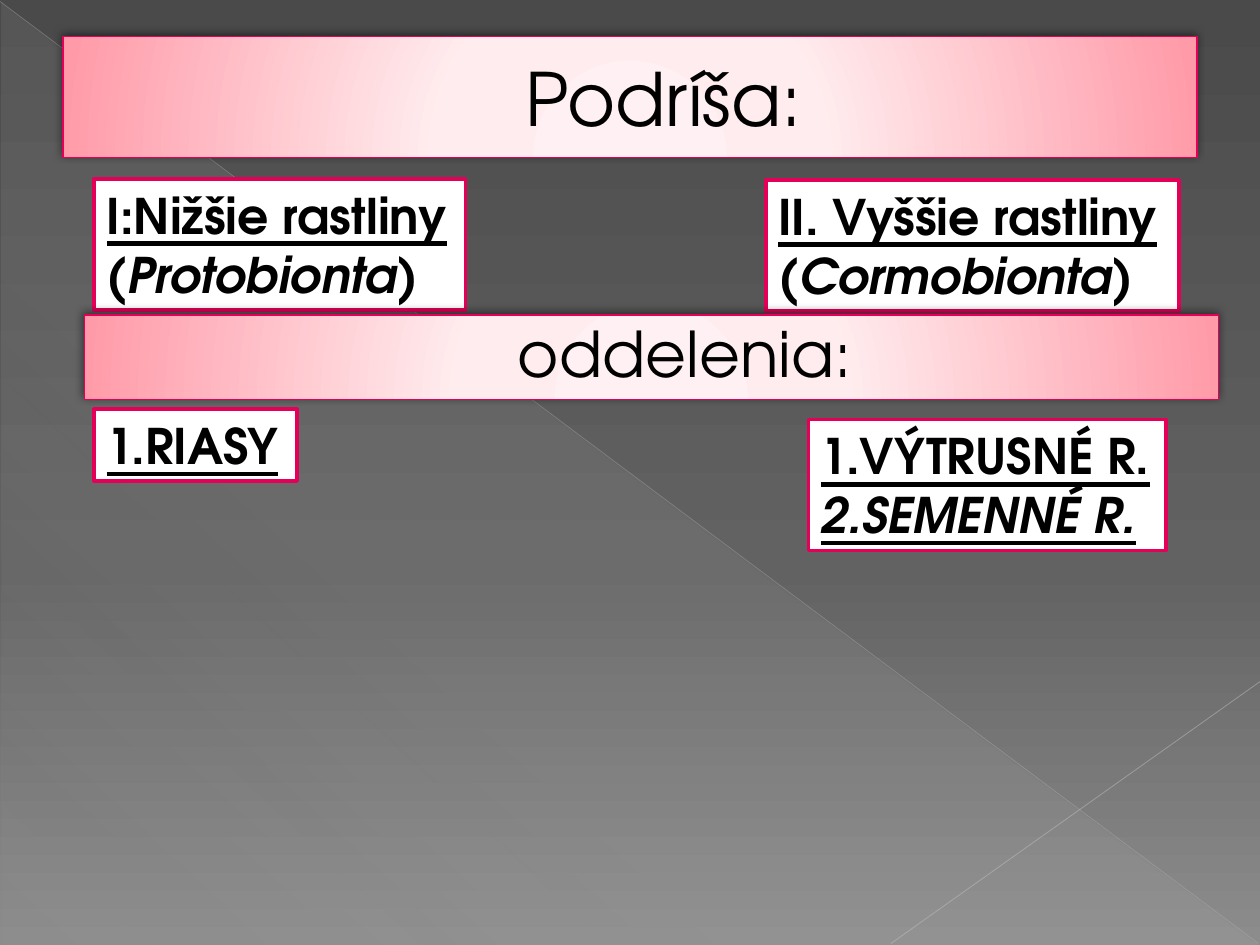
from lxml.etree import SubElement
from pptx import Presentation
from pptx.dml.color import RGBColor
from pptx.enum.shapes import MSO_CONNECTOR as Connector, MSO_SHAPE as Preset
from pptx.enum.text import MSO_ANCHOR as Anchor, MSO_AUTO_SIZE as AutoSize, PP_ALIGN as Align
from pptx.oxml import parse_xml
from pptx.oxml.ns import nsdecls, qn
from pptx.util import Cm, Pt

FONT = "TeX Gyre Adventor"
BLACK, WHITE, PINK, OUTLINE = "000000", "FFFFFF", "E40059", "B12761"
BACKGROUND = [(0, "4A4A4A", 100), (60, "626262", 100), (100, "8C8C8C", 100)]
SHEEN = [(0, "D2D2D2", 10), (70, "D2D2D2", 8), (100, "D2D2D2", 1)]
BANNER = [(0, "FFF1F3", 100), (34, "FFECEE", 100), (100, "FF9BA9", 100)]
BANNER_PATH = ('<a:path path="circle"><a:fillToRect l="50000" t="155000" '
               'r="50000" b="-55000"/></a:path>')

SHEEN_BOX = (0.03, 0.05, 25.35, 19)
DIAGONALS = [
    ((0, 0.03, 25.37, 19.02), "BFBFBF", 0.39, 35),
    ((25.4, 13.74, 17.96, 19.02), "C6C6C6", 0.47, 45),
]
TITLE = ("Podríša:", (1.27, 0.74, 22.86, 2.44), 42, 1.0)
DIVISIONS = ("oddelenia:", (1.7, 6.35, 22.86, 1.7), 36, 0.9)
UNDERLINED = {"underline": True}
ITALIC = {"italic": True}
LABELS = [
    ((1.9, 3.61, 7.49, 2.64), [("I:Nižšie rastliny", UNDERLINED), ("(Protobionta)", ITALIC)]),
    ((15.44, 3.63, 8.33, 2.64), [("II. Vyššie rastliny", UNDERLINED), ("(Cormobionta)", ITALIC)]),
    ((1.9, 8.25, 4.09, 1.45), [("1.RIASY", UNDERLINED)]),
    ((16.3, 8.46, 7.21, 2.64), [("1.VÝTRUSNÉ R.", UNDERLINED),
                               ("2.SEMENNÉ R.", {**UNDERLINED, **ITALIC})]),
]


def color(value):
    """Turn a hex string into a colour."""
    return RGBColor.from_string(value)


def shade(fill, parent, stops, direction):
    """Give the parent element a gradient fill with the given stops."""
    fill.solid()
    marks = "".join(
        f'<a:gs pos="{place * 1000}"><a:srgbClr val="{value}">'
        f'<a:alpha val="{alpha * 1000}"/></a:srgbClr></a:gs>'
        for place, value, alpha in stops)
    gradient = parse_xml(f'<a:gradFill {nsdecls("a")} rotWithShape="1">'
                         f'<a:gsLst>{marks}</a:gsLst>{direction}</a:gradFill>')
    parent.replace(parent.find(qn("a:solidFill")), gradient)


def linear(degrees):
    """Return the direction element of a linear gradient."""
    return f'<a:lin ang="{degrees * 60000}" scaled="0"/>'


def write(paragraph, text, **formats):
    """Add a run of text with the given font values."""
    run = paragraph.add_run()
    run.text = text
    for name, value in {"name": FONT, **formats}.items():
        setattr(run.font, name, value)
    run.font.color.rgb = color(BLACK)
    return run


def add_box(slide, preset, box):
    """Add a preset shape without a shadow."""
    shape = slide.shapes.add_shape(preset, *map(Cm, box))
    shape.shadow.inherit = False
    return shape


def add_diagonal(slide, ends, value, width, alpha):
    """Add a thin translucent background line."""
    line = slide.shapes.add_connector(Connector.STRAIGHT, *map(Cm, ends))
    line.line.color.rgb = color(value)
    line.line.width = Pt(width)
    properties = line._element.spPr
    mark = properties.find(".//" + qn("a:srgbClr"))
    SubElement(mark, qn("a:alpha")).set("val", str(alpha * 1000))
    SubElement(properties, qn("a:effectLst"))


def format_banner(shape, text, box, size, spacing):
    """Style a wide pink banner with centred outlined text."""
    for name, value in zip(("left", "top", "width", "height"), box):
        setattr(shape, name, Cm(value))
    properties = shape._element.spPr
    shade(shape.fill, properties, BANNER, BANNER_PATH)
    shape.line.color.rgb = color(PINK)
    shape.line.width = Pt(0.75)
    shape.shadow.inherit = False
    properties.find(qn("a:effectLst")).append(parse_xml(
        f'<a:outerShdw {nsdecls("a")} blurRad="{Pt(5)}" dist="{Pt(2)}" dir="{245 * 60000}" '
        f'rotWithShape="0"><a:srgbClr val="{BLACK}"><a:alpha val="50000"/></a:srgbClr>'
        '</a:outerShdw>'))
    frame = shape.text_frame
    frame.word_wrap = True
    frame.auto_size = AutoSize.NONE
    frame.vertical_anchor = Anchor.MIDDLE
    paragraph = frame.paragraphs[0]
    paragraph.alignment = Align.CENTER
    paragraph.line_spacing = spacing
    indents = paragraph._p.get_or_add_pPr()
    indents.set("marL", str(Cm(1.35)))
    indents.set("indent", "0")
    run = write(paragraph, text, size=Pt(size))
    run._r.get_or_add_rPr().insert(0, parse_xml(
        f'<a:ln {nsdecls("a")} w="{Pt(0.5)}"><a:solidFill><a:srgbClr val="{OUTLINE}"/>'
        '</a:solidFill></a:ln>'))


def add_label(slide, box, lines):
    """Add a white label with a pink border."""
    shape = add_box(slide, Preset.RECTANGLE, box)
    shape.fill.solid()
    shape.fill.fore_color.rgb = color(WHITE)
    shape.line.color.rgb = color(PINK)
    shape.line.width = Pt(2)
    frame = shape.text_frame
    frame.word_wrap = False
    frame.auto_size = AutoSize.SHAPE_TO_FIT_TEXT
    frame.vertical_anchor = Anchor.TOP
    for index, (text, formats) in enumerate(lines):
        paragraph = frame.add_paragraph() if index else frame.paragraphs[0]
        paragraph.alignment = Align.LEFT
        write(paragraph, text, size=Pt(28), bold=True, **formats)


def main():
    """Build the slide and save it."""
    presentation = Presentation()
    presentation.slide_width, presentation.slide_height = Cm(25.4), Cm(19.05)
    slide = presentation.slides.add_slide(presentation.slide_layouts[5])
    fill = slide.background.fill
    shade(fill, slide._element.find(".//" + qn("p:bgPr")), BACKGROUND, linear(90))

    sheen = add_box(slide, Preset.RIGHT_TRIANGLE, SHEEN_BOX)
    shade(sheen.fill, sheen._element.spPr, SHEEN, linear(133))
    sheen.line.fill.background()
    for diagonal in DIAGONALS:
        add_diagonal(slide, *diagonal)

    title = slide.shapes.title
    slide.shapes._spTree.append(title._element)
    format_banner(title, *TITLE)
    for label in LABELS[:2]:
        add_label(slide, *label)
    format_banner(add_box(slide, Preset.RECTANGLE, DIVISIONS[1]), *DIVISIONS)
    for label in LABELS[2:]:
        add_label(slide, *label)
    presentation.save("out.pptx")


if __name__ == "__main__":
    main()
